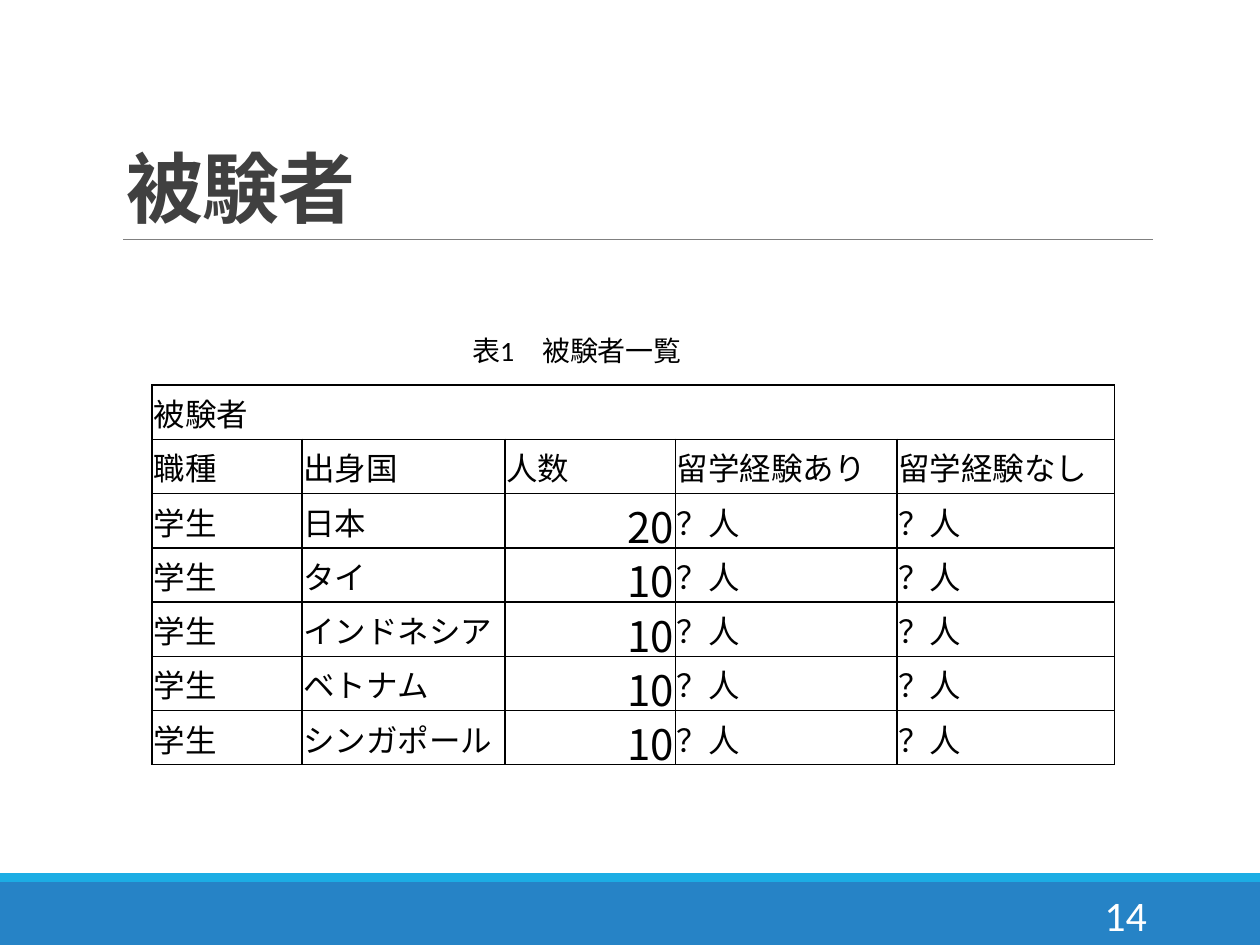
from dataclasses import dataclass

from lxml.etree import SubElement
from pptx import Presentation
from pptx.dml.color import RGBColor
from pptx.enum.shapes import MSO_CONNECTOR as Connector, MSO_SHAPE as Preset
from pptx.enum.text import MSO_ANCHOR as Anchor, MSO_AUTO_SIZE as AutoSize, PP_ALIGN as Align
from pptx.oxml import parse_xml
from pptx.oxml.ns import nsdecls, qn
from pptx.util import Pt

BLACK = RGBColor(0x00, 0x00, 0x00)
WHITE = RGBColor(0xFF, 0xFF, 0xFF)
DARK_GREY = RGBColor(0x40, 0x40, 0x40)
RULE_GREY = RGBColor(0x80, 0x80, 0x80)
BLUE = RGBColor(0x26, 0x83, 0xC6)
LIGHT_BLUE = RGBColor(0x1C, 0xAD, 0xE4)
LATIN_FONT = "Calibri"
JAPANESE_FONT = "Noto Sans CJK JP"


@dataclass
class Box:
    left: float
    top: float
    width: float
    height: float

    def lengths(self) -> tuple:
        return Pt(self.left), Pt(self.top), Pt(self.width), Pt(self.height)


@dataclass
class Band:
    box: Box
    color: RGBColor


@dataclass
class TextStyle:
    size: float
    color: RGBColor = BLACK
    align: Align = Align.LEFT
    font: str = LATIN_FONT
    bold: bool = False


BANDS = [
    Band(Box(0, 504, 720, 36), BLUE),
    Band(Box(0, 499, 720, 5), LIGHT_BLUE),
]
TABLE_BOX = Box(87, 220.1, 550, 217)
COLUMN_WIDTHS = [85.7, 116, 97.2, 126.7, 124.4]
COUNT_COLUMN = 2
TABLE_HEADING = "被験者"
HEADERS = ["職種", "出身国", "人数", "留学経験あり", "留学経験なし"]
COUNTS = {"日本": 20, "タイ": 10, "インドネシア": 10, "ベトナム": 10, "シンガポール": 10}


def write_text(frame, text: str, style: TextStyle):
    paragraph = frame.paragraphs[0]
    paragraph.alignment = style.align
    run = paragraph.add_run()
    run.text = text
    formats = {"name": style.font, "size": Pt(style.size), "bold": style.bold}
    for name, value in formats.items():
        setattr(run.font, name, value)
    run.font.color.rgb = style.color
    SubElement(run.font._element, qn("a:ea"), typeface=JAPANESE_FONT)
    return run


def draw_band(slide, band: Band) -> None:
    shape = slide.shapes.add_shape(Preset.RECTANGLE, *band.box.lengths())
    shape.shadow.inherit = False
    shape.fill.solid()
    shape.fill.fore_color.rgb = band.color
    shape.line.fill.background()


def draw_title_rule(slide) -> None:
    rule = slide.shapes.add_connector(Connector.STRAIGHT, Pt(70.5), Pt(136.8), Pt(658.8), Pt(136.8))
    rule.line.color.rgb = RULE_GREY
    rule.line.width = Pt(0.5)
    SubElement(rule._element.spPr, qn("a:effectLst"))


def format_title(slide, text: str) -> None:
    title = slide.shapes.title
    title.left, title.top, title.width, title.height = Box(64.8, 41.8, 594, 95).lengths()
    frame = title.text_frame
    frame.auto_size = AutoSize.NONE
    frame.vertical_anchor = Anchor.BOTTOM
    run = write_text(frame, text, TextStyle(44, DARK_GREY, bold=True))
    frame.paragraphs[0].line_spacing = 0.85
    run.font._element.set("spc", "-50")


def add_text(slide, box: Box, text: str, style: TextStyle, **frame_formats) -> None:
    frame = slide.shapes.add_textbox(*box.lengths()).text_frame
    frame.word_wrap = True
    for name, value in frame_formats.items():
        setattr(frame, name, value)
    write_text(frame, text, style)


def add_borders(cell) -> None:
    properties = cell._tc.get_or_add_tcPr()
    for position, side in enumerate("LRTB"):
        properties.insert(position, parse_xml(
            f'<a:ln{side} {nsdecls("a")} w="{Pt(1)}"><a:solidFill>'
            f'<a:srgbClr val="{BLACK}"/></a:solidFill></a:ln{side}>'))


def format_cell(cell, text: str, is_count: bool) -> None:
    formats = {
        "vertical_anchor": Anchor.MIDDLE,
        "margin_left": Pt(0.75),
        "margin_top": Pt(0.75),
        "margin_right": Pt(0.75),
        "margin_bottom": Pt(0),
    }
    for name, value in formats.items():
        setattr(cell, name, value)
    size, align = (24, Align.RIGHT) if is_count else (18, Align.LEFT)
    cell.fill.background()
    add_borders(cell)
    if text:
        write_text(cell.text_frame, text, TextStyle(size, align=align, font=JAPANESE_FONT))


def draw_table(slide) -> None:
    rows = [[TABLE_HEADING] + [""] * (len(HEADERS) - 1), HEADERS]
    rows += [["学生", country, str(count), "？人", "？人"] for country, count in COUNTS.items()]
    table = slide.shapes.add_table(len(rows), len(HEADERS), *TABLE_BOX.lengths()).table
    table.first_row = table.horz_banding = False
    for column, width in zip(table.columns, COLUMN_WIDTHS):
        column.width = Pt(width)
    for row_index, texts in enumerate(rows):
        table.rows[row_index].height = Pt(TABLE_BOX.height / len(rows))
        for column_index, text in enumerate(texts):
            is_count = row_index > 1 and column_index == COUNT_COLUMN
            format_cell(table.cell(row_index, column_index), text, is_count)
    table.cell(0, 0).merge(table.cell(0, len(HEADERS) - 1))


def main() -> None:
    presentation = Presentation()
    presentation.slide_width, presentation.slide_height = Pt(720), Pt(540)
    slide = presentation.slides.add_slide(presentation.slide_layouts[5])

    # Footer bands and title
    for band in BANDS:
        draw_band(slide, band)
    draw_title_rule(slide)
    format_title(slide, "被験者")

    # Slide number and table caption
    add_text(slide, Box(584.6, 508.3, 77.8, 28.8), "14",
             TextStyle(24, WHITE, Align.RIGHT), vertical_anchor=Anchor.MIDDLE)
    add_text(slide, Box(234.7, 187.2, 190, 26.6), "表1　被験者一覧",
             TextStyle(16, align=Align.CENTER), auto_size=AutoSize.SHAPE_TO_FIT_TEXT)

    # Participants
    draw_table(slide)
    presentation.save("out.pptx")


if __name__ == "__main__":
    main()
